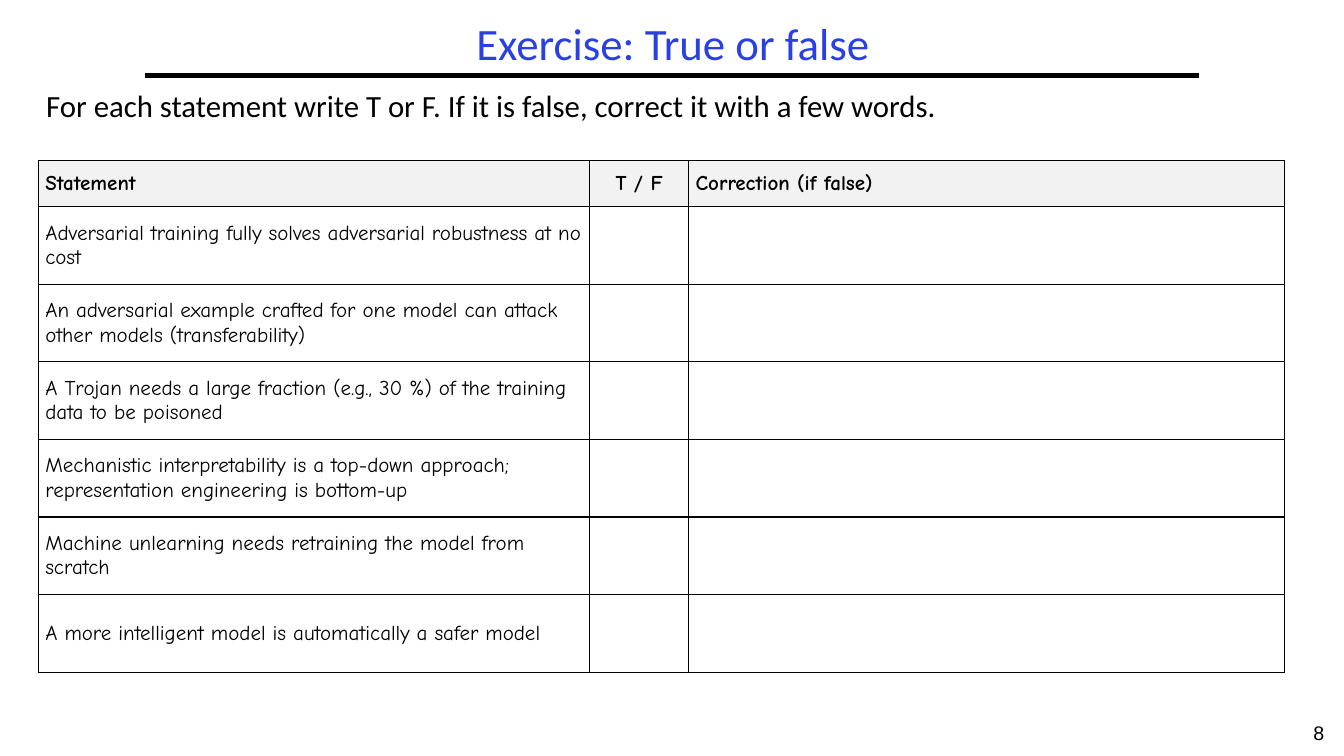
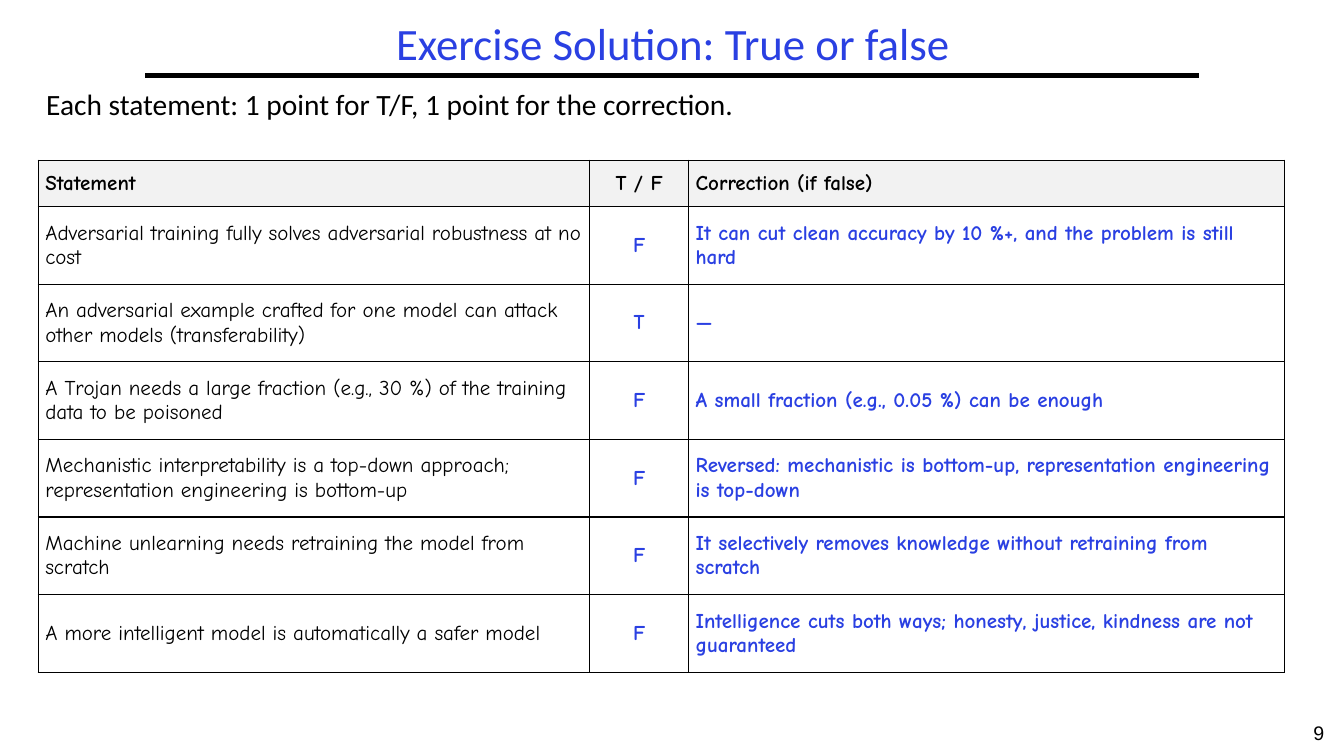
import pptx
import pptx.util
import pptx.dml.color
import pptx.enum.shapes
import pptx.enum.text
import pptx.oxml.ns
from lxml import etree

Inches, Pt = pptx.util.Inches, pptx.util.Pt
Align = pptx.enum.text.PP_ALIGN
Anchor = pptx.enum.text.MSO_ANCHOR
qn = pptx.oxml.ns.qn


class Theme:
    blue, black, grey = "2A40E2", "000000", "F2F2F2"
    head, body, num = "Calibri", "Comic Neue", "Arial"
    title, cell, page = 32, 15, 14
    rule, edge = 3, 1


HEADS = ["Statement", "T / F", "Correction (if false)"]
ITEMS = [
    ("Adversarial training fully solves adversarial robustness at no cost",
     "F", "It can cut clean accuracy by 10 %+, and the problem is still hard"),
    ("An adversarial example crafted for one model can attack other models (transferability)",
     "T", "—"),
    ("A Trojan needs a large fraction (e.g., 30 %) of the training data to be poisoned",
     "F", "A small fraction (e.g., 0.05 %) can be enough"),
    ("Mechanistic interpretability is a top-down approach; representation engineering is bottom-up",
     "F", "Reversed: mechanistic is bottom-up, representation engineering is top-down"),
    ("Machine unlearning needs retraining the model from scratch",
     "F", "It selectively removes knowledge without retraining from scratch"),
    ("A more intelligent model is automatically a safer model",
     "F", "Intelligence cuts both ways; honesty, justice, kindness are not guaranteed"),
]
SLIDES = [
    dict(page=8, title="Exercise: True or false", size=22, solved=False,
         lead="For each statement write T or F. If it is false, correct it with a few words."),
    dict(page=9, title="Exercise Solution: True or false", size=21, solved=True,
         lead="Each statement: 1 point for T/F, 1 point for the correction."),
]
COLS = [5.47, 0.98, 5.91]
ALIGNS = [Align.LEFT, Align.CENTER, Align.LEFT]
HEAD_H, ROW_H = 0.46, 0.77


def rgb(code):
    return pptx.dml.color.RGBColor.from_string(code)


def write(frame, text, size, face, color, align=Align.LEFT, bold=False):
    para = frame.paragraphs[0]
    para.text = text
    para.alignment = align
    for run in para.runs:
        font = run.font
        font.size, font.name, font.bold = Pt(size), face, bold
        font.color.rgb = rgb(color)
    return para


def add_text(slide, area, text, size, face, color, align=Align.LEFT,
             anchor=Anchor.TOP, space=1.0):
    frame = slide.shapes.add_textbox(*map(Inches, area)).text_frame
    frame.word_wrap = True
    frame.vertical_anchor = anchor
    write(frame, text, size, face, color, align).line_spacing = space


def add_frame(slide, data):
    """Add the title, rule, lead sentence and page number."""
    rule = slide.shapes.add_connector(
        pptx.enum.shapes.MSO_CONNECTOR.STRAIGHT,
        Inches(1.44), Inches(0.75), Inches(11.89), Inches(0.75))
    rule.line.color.rgb = rgb(Theme.black)
    rule.line.width = Pt(Theme.rule)
    etree.SubElement(rule._element.spPr, qn("a:effectLst"))
    add_text(slide, (12.83, 7.1, 0.5, 0.4), str(data["page"]), Theme.page,
             Theme.num, Theme.black, Align.CENTER)
    add_text(slide, (1.44, 0.17, 10.47, 0.58), data["title"], Theme.title,
             Theme.head, Theme.blue, Align.CENTER, Anchor.MIDDLE, 0.9)
    add_text(slide, (0.36, 0.85, 12.58, 0.73), data["lead"], data["size"],
             Theme.head, Theme.black, space=0.9)


def add_edges(cell):
    props = cell._tc.get_or_add_tcPr()
    for side in ("lnL", "lnR", "lnT", "lnB"):
        line = etree.SubElement(props, qn("a:" + side), w=str(Pt(Theme.edge)))
        fill = etree.SubElement(line, qn("a:solidFill"))
        etree.SubElement(fill, qn("a:srgbClr"), val=Theme.black)


def fill_cell(cell, text, align, color, bold, shade):
    cell.margin_left = cell.margin_right = Inches(0.07)
    cell.margin_top = cell.margin_bottom = Inches(0.03)
    cell.vertical_anchor = Anchor.MIDDLE
    add_edges(cell)
    if shade:
        cell.fill.solid()
        cell.fill.fore_color.rgb = rgb(Theme.grey)
    else:
        cell.fill.background()
    if text:
        write(cell.text_frame, text, Theme.cell, Theme.body, color, align, bold)


def add_grid(slide, solved):
    rows = [HEADS] + [item if solved else (item[0], "", "") for item in ITEMS]
    highs = [HEAD_H] + [ROW_H] * len(ITEMS)
    grid = slide.shapes.add_table(
        len(rows), len(COLS), Inches(0.38), Inches(1.59),
        Inches(sum(COLS)), Inches(sum(highs))).table
    grid.first_row = grid.horz_banding = False
    for col, wide in zip(grid.columns, COLS):
        col.width = Inches(wide)
    for r, (row, high) in enumerate(zip(rows, highs)):
        grid.rows[r].height = Inches(high)
        for c, text in enumerate(row):
            top, reply = r == 0, r > 0 and c > 0
            fill_cell(grid.cell(r, c), text, ALIGNS[c],
                      Theme.blue if reply else Theme.black, top or reply, top)


def main():
    deck = pptx.Presentation()
    deck.slide_width, deck.slide_height = Inches(13.33), Inches(7.5)
    for data in SLIDES:
        slide = deck.slides.add_slide(deck.slide_layouts[6])
        add_frame(slide, data)
        add_grid(slide, data["solved"])
    deck.save("out.pptx")


if __name__ == "__main__":
    main()
